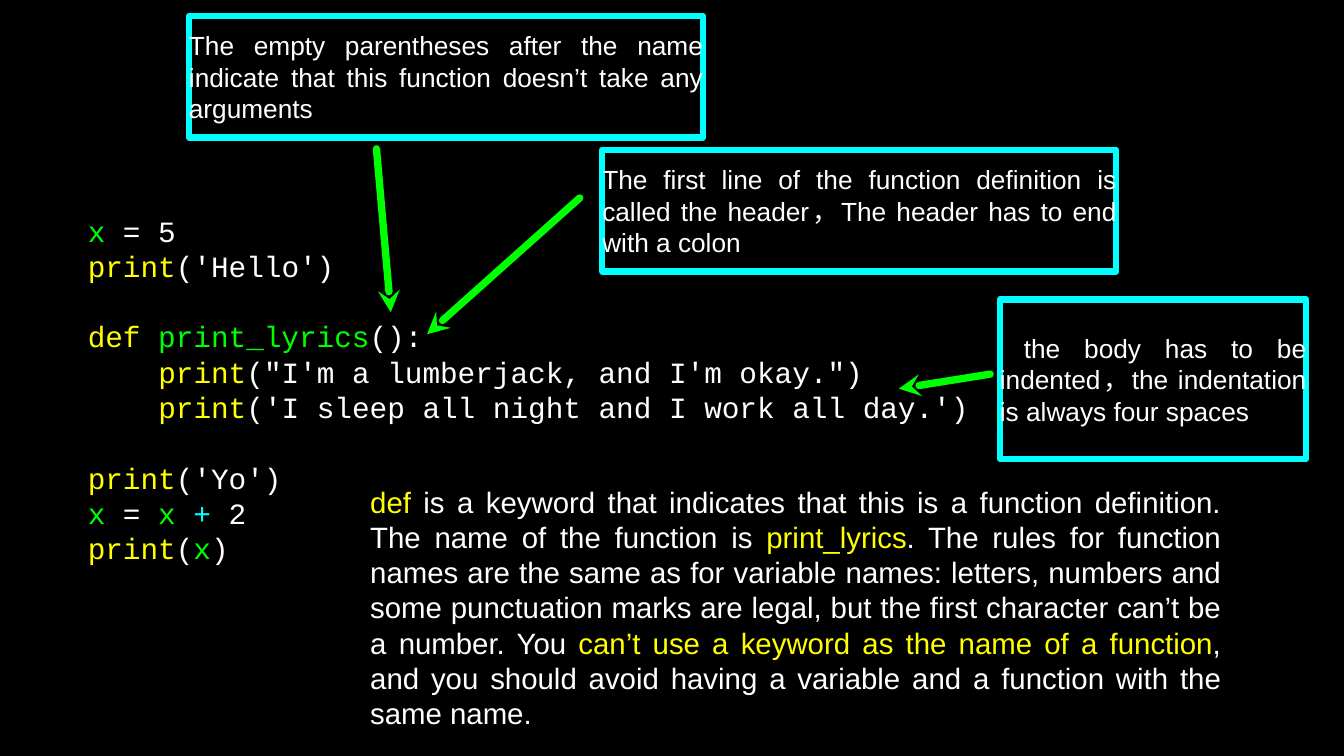
"""Build a slide that explains the parts of a function definition."""
import pptx
import pptx.util
import pptx.dml.color
import pptx.enum.shapes
import pptx.enum.text
import pptx.oxml.ns
import lxml.etree

Cm, Pt = pptx.util.Cm, pptx.util.Pt
RGB = pptx.dml.color.RGBColor
BLACK = RGB(0, 0, 0)
WHITE = RGB(255, 255, 255)
YELLOW = RGB(255, 255, 0)
GREEN = RGB(0, 255, 0)
CYAN = RGB(0, 255, 255)

ALIGN = pptx.enum.text.PP_ALIGN
ANCHOR = pptx.enum.text.MSO_ANCHOR
PITCH = 1.2
BARE = dict(word_wrap=True, vertical_anchor=ANCHOR.MIDDLE,
            margin_left=0, margin_right=0, margin_top=0, margin_bottom=0)
CODE = dict(name="Courier New", size=Pt(28))
BODY = dict(name="Arial", size=Pt(28))
NOTE = dict(name="Arial", size=Pt(25))

LINES = [
    (0, 0, [("x", GREEN), (" = 5", WHITE)]),
    (0, 0, [("print", YELLOW), ("('Hello')", WHITE)]),
    (1, 0, [("def ", YELLOW), ("print_lyrics", GREEN), ("():", WHITE)]),
    (0, 4, [("print", YELLOW), ("(\"I'm a lumberjack, and I'm okay.\")", WHITE)]),
    (0, 4, [("print", YELLOW), ("('I sleep all night and I work all day.')", WHITE)]),
    (1, 0, [("print", YELLOW), ("('Yo')", WHITE)]),
    (0, 0, [("x", GREEN), (" = ", WHITE), ("x ", GREEN), ("+", CYAN), (" 2", WHITE)]),
    (0, 0, [("print", YELLOW), ("(", WHITE), ("x", GREEN), (")", WHITE)]),
]
RULES = [
    ("def", YELLOW),
    (" is a keyword that indicates that this is a function definition. "
     "The name of the function is ", WHITE),
    ("print_lyrics", YELLOW),
    (". The rules for function names are the same as for variable names: "
     "letters, numbers and some punctuation marks are legal, but the first "
     "character can’t be a number. You ", WHITE),
    ("can’t use a keyword as the name of a function", YELLOW),
    (", and you should avoid having a variable and a function with the same name.", WHITE),
]
NOTES = [
    ((6.35, 0.53, 17.27, 4.09),
     "The empty parentheses after the name indicate that this function "
     "doesn’t take any arguments"),
    ((20.24, 5.03, 17.27, 4.09),
     "The first line of the function definition is called the header，"
     "The header has to end with a colon"),
    ((33.6, 10.06, 10.29, 5.36),
     " the body has to be indented，the indentation is always four spaces"),
]
ARROWS = [(12.65, 5, 13.13, 10.49), (19.48, 6.65, 14.35, 11.23),
          (33.27, 12.57, 30.2, 13.06)]


def apply(item, look):
    for key, value in look.items():
        setattr(item, key, value)


def place(box):
    return [Cm(n) for n in box]


def fill_par(par, runs, look, align):
    par.alignment = align
    par.line_spacing = Pt(look["size"].pt * PITCH)
    for text, color in runs:
        run = par.add_run()
        run.text = text
        apply(run.font, look)
        run.font.color.rgb = color


def style_line(shape, color, width, arrow=False):
    shape.line.color.rgb = color
    shape.line.width = Pt(width)
    line = shape.line._get_or_add_ln()
    line.set("cap", "rnd")
    qn = pptx.oxml.ns.qn
    lxml.etree.SubElement(line, qn("a:round"))
    if arrow:
        lxml.etree.SubElement(line, qn("a:tailEnd"), type="stealth")


def add_code(slide, box):
    frame = slide.shapes.add_textbox(*place(box)).text_frame
    apply(frame, BARE)
    size = CODE["size"].pt
    for i, (gap, indent, runs) in enumerate(LINES):
        par = frame.add_paragraph() if i else frame.paragraphs[0]
        fill_par(par, runs, CODE, ALIGN.LEFT)
        par.space_before = Pt(gap * size * PITCH)
        par._p.get_or_add_pPr().set("marL", str(int(Pt(indent * size * 0.6))))


def add_rules(slide, box):
    frame = slide.shapes.add_textbox(*place(box)).text_frame
    frame.word_wrap = True
    fill_par(frame.paragraphs[0], RULES, BODY, ALIGN.JUSTIFY)


def add_note(slide, box, text):
    kind = pptx.enum.shapes.MSO_SHAPE.RECTANGLE
    shape = slide.shapes.add_shape(kind, *place(box))
    shape.shadow.inherit = False
    shape.fill.background()
    style_line(shape, CYAN, 6)
    apply(shape.text_frame, BARE)
    fill_par(shape.text_frame.paragraphs[0], [(text, WHITE)], NOTE, ALIGN.JUSTIFY)


def add_arrow(slide, ends):
    kind = pptx.enum.shapes.MSO_CONNECTOR.STRAIGHT
    arrow = slide.shapes.add_connector(kind, *place(ends))
    style_line(arrow, GREEN, 7, arrow=True)
    lxml.etree.SubElement(arrow._element.spPr, pptx.oxml.ns.qn("a:effectLst"))


def main():
    deck = pptx.Presentation()
    deck.slide_width, deck.slide_height = Cm(45.16), Cm(25.4)
    slide = deck.slides.add_slide(deck.slide_layouts[6])
    slide.background.fill.solid()
    slide.background.fill.fore_color.rgb = BLACK
    add_code(slide, (2.95, 5.38, 29.85, 15.39))
    add_rules(slide, (12.19, 16.13, 29.08, 8.64))
    for box, text in NOTES:
        add_note(slide, box, text)
    for ends in ARROWS:
        add_arrow(slide, ends)
    deck.save("out.pptx")


main()
